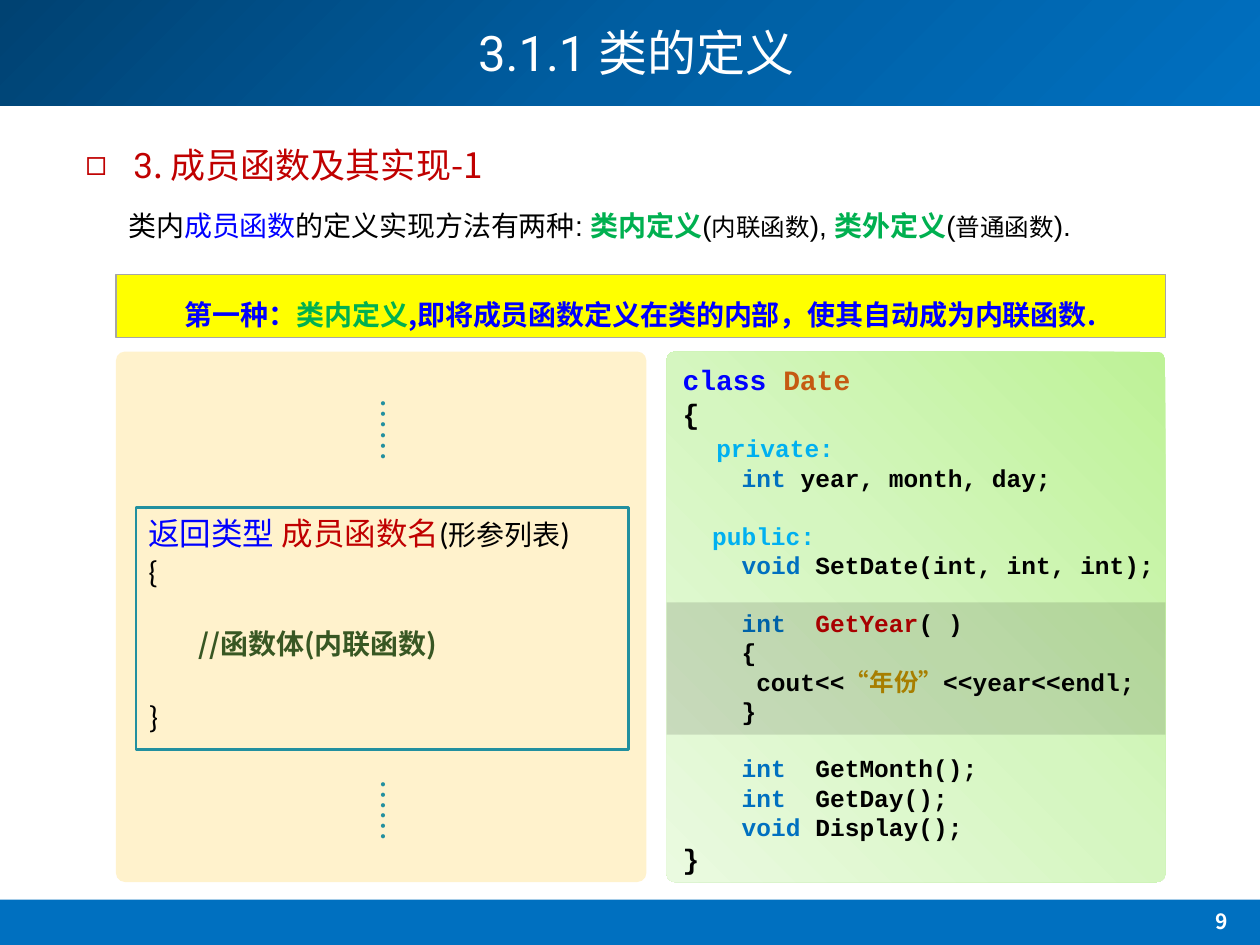
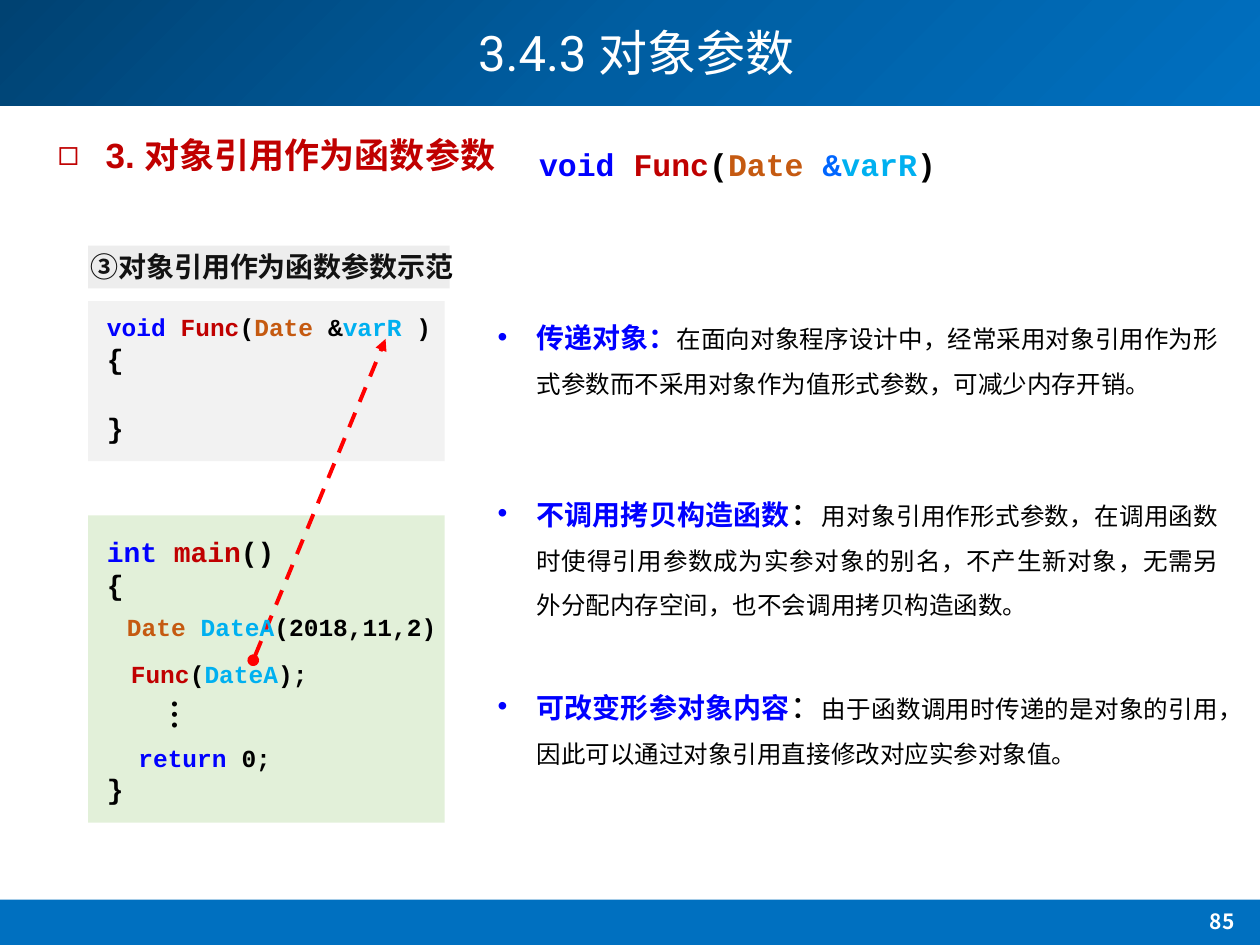
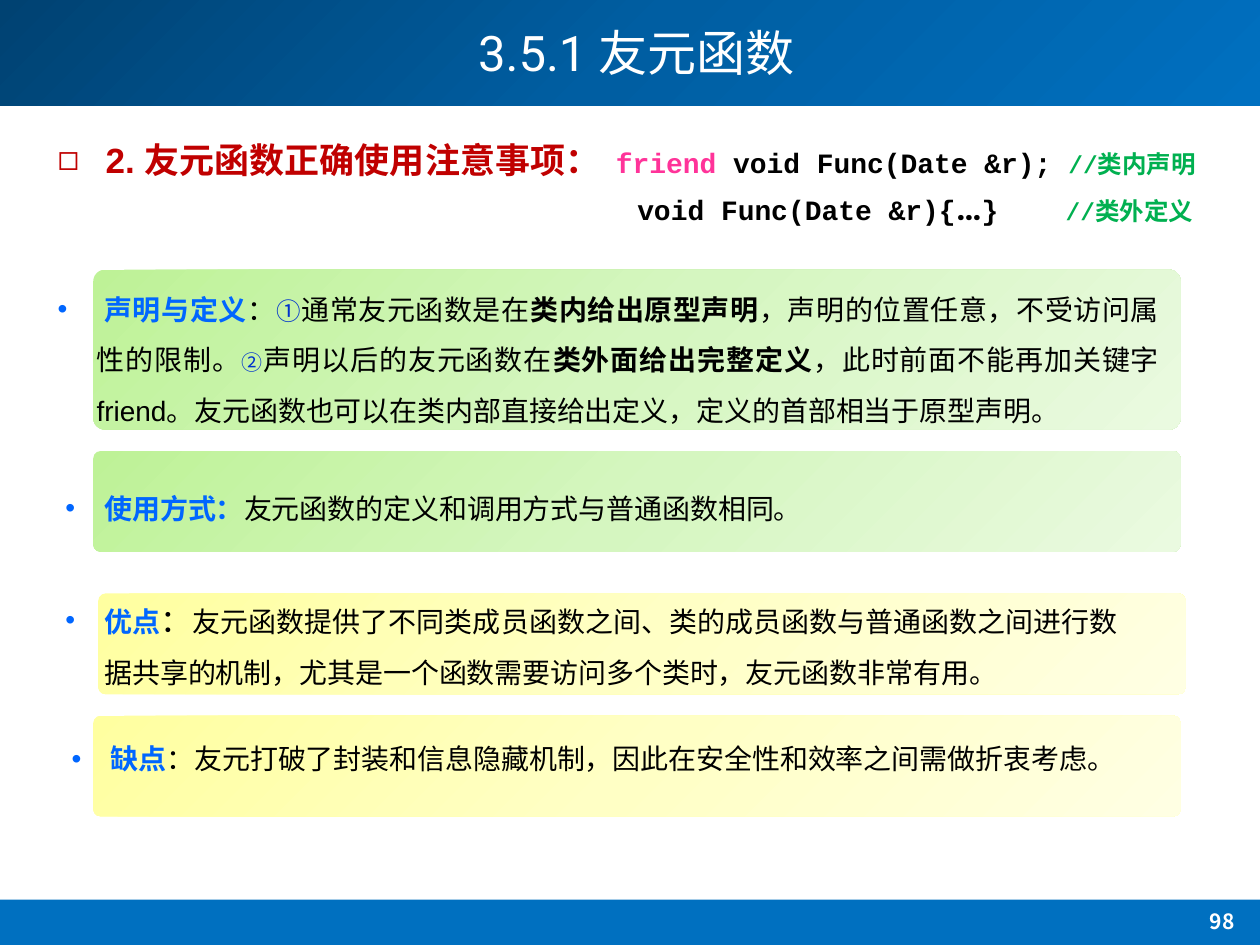
import copy

import pptx
import pptx.util
import pptx.dml.color
import pptx.enum.dml
import pptx.enum.shapes
import pptx.enum.text
import pptx.oxml
import pptx.oxml.ns

Pt = pptx.util.Pt
qn = pptx.oxml.ns.qn
Form = pptx.enum.shapes.MSO_SHAPE
Align = pptx.enum.text.PP_ALIGN

HUES = {
    "navy": "004272", "deep": "005EA2", "band": "0070C0", "white": "FFFFFF",
    "black": "000000", "red": "C00000", "blue": "0000FF", "leaf": "00B050",
    "rust": "C55A11", "sky": "00B0F0", "gold": "BF9000", "moss": "385723",
    "teal": "22909F", "azure": "0066FF", "ink": "0033CC", "pink": "FF3399",
    "arrow": "FF0000", "yellow": "FFFF00", "edge": "A6A6A6", "gray": "808080",
    "cream": "FFF2CC", "pale": "F2F2F2", "mint": "E2F0D9",
    "lime1": "BEF297", "lime2": "D5F6C0", "lime3": "EAFAE0",
    "sun1": "FFFFA0", "sun2": "FFFFC5", "sun3": "FFFFE3",
}
BAND = ("navy", "deep", "band")
LIME = ("lime1", "lime2", "lime3")
SUN = ("sun1", "sun2", "sun3")
CJK = "Noto Sans CJK SC"
CODE = "Courier New"
COLS, ROWS = 10, 7.5

deck = pptx.Presentation()
deck.slide_width = pptx.util.Inches(10)
deck.slide_height = pptx.util.Inches(7.5)
COL = deck.slide_width / COLS
ROW = deck.slide_height / ROWS


def grid(box):
    return [int(n * unit) for n, unit in zip(box, (COL, ROW, COL, ROW))]


def part(box, x, y, wide, high):
    return box[0] + x, box[1] + y, wide, high


def hue(name):
    return pptx.dml.color.RGBColor.from_string(HUES[name])


def node(tag, **attrs):
    item = pptx.oxml.parse_xml(f"<{tag} {pptx.oxml.ns.nsdecls('a')}/>")
    for key, value in attrs.items():
        item.set(key, str(value))
    return item


def style(font, tone=None, size=None, bold=None, face=None):
    if tone:
        font.color.rgb = hue(tone)
    if size:
        font.size = Pt(size)
    if bold is not None:
        font.bold = bold
    if face:
        font.name = face


def mark(para, sign, tone, hang):
    props = para._p.get_or_add_pPr()
    width = int(hang * COL)
    props.set("marL", str(width))
    props.set("indent", str(-width))
    color = node("a:buClr")
    color.append(node("a:srgbClr", val=HUES[tone]))
    props.append(color)
    props.append(node("a:buFont", typeface="Arial"))
    props.append(node("a:buChar", char=sign))


def write(shape, lines, size=16, face=CJK, tone="black", bold=False,
          align=Align.LEFT, pitch=None, sign=None, tab=None, gaps=None):
    frame = shape.text_frame
    frame.word_wrap = True
    for i, runs in enumerate(lines):
        para = frame.paragraphs[0] if i == 0 else frame.add_paragraph()
        para.alignment = align
        if pitch:
            para.line_spacing = pitch
        if gaps and i in gaps:
            para.space_before = Pt(gaps[i])
        if sign:
            mark(para, *sign)
        if tab:
            stops = node("a:tabLst")
            stops.append(node("a:tab", pos=int(tab * COL), algn="l"))
            para._p.get_or_add_pPr().append(stops)
        style(para.font, tone, size, bold, face)
        for item in runs:
            words, *look = (item,) if isinstance(item, str) else item
            run = para.add_run()
            run.text = words
            style(run.font, *look)
    return shape


def label(slide, box, lines, **look):
    return write(slide.shapes.add_textbox(*grid(box)), lines, **look)


def panel(slide, box, fill=None, form=Form.RECTANGLE, round=None,
          angle=45, line=None, alpha=None):
    shape = slide.shapes.add_shape(form, *grid(box))
    shape.shadow.inherit = False
    if round:
        shape.adjustments[0] = round
    if fill is None:
        shape.fill.background()
    elif isinstance(fill, tuple):
        shape.fill.gradient()
        shape.fill.gradient_angle = 360 - angle
        first = next(shape.element.iter(qn("a:gs")))
        first.addnext(copy.deepcopy(first))
        for stop, tone, place in zip(shape.fill.gradient_stops, fill, (0, 0.5, 1)):
            stop.color.rgb = hue(tone)
            stop.position = place
    else:
        shape.fill.solid()
        shape.fill.fore_color.rgb = hue(fill)
        if alpha:
            color = next(shape.element.iter(qn("a:srgbClr")))
            color.append(node("a:alpha", val=alpha * 1000))
    if line:
        shape.line.color.rgb = hue(line[0])
        shape.line.width = Pt(line[1])
    else:
        shape.line.fill.background()
    shape.text_frame.vertical_anchor = pptx.enum.text.MSO_ANCHOR.TOP
    return shape


def bands(slide):
    tree = slide.slide_layout.shapes.element
    for box, fill in (((0, 0, COLS, 0.84), BAND), ((0, 7.14, COLS, 0.36), "band")):
        tree.insert(2, panel(slide, box, fill).element)


def start(code, name, page):
    slide = deck.slides.add_slide(deck.slide_layouts[5])
    title = slide.shapes.title
    title.left, title.top, title.width, title.height = grid((0.85, 0, 8.4, 0.89))
    title.text_frame.vertical_anchor = pptx.enum.text.MSO_ANCHOR.MIDDLE
    write(title, [[(code + " ", None, None, None, "Roboto"), name]],
          size=28, tone="white", align=Align.CENTER, pitch=0.9)
    label(slide, (9.45, 7.16, 0.5, 0.34), [[page]], size=12, tone="white",
          bold=True, align=Align.CENTER)
    return slide


def head(slide, x, y, runs, **look):
    label(slide, (x, y, 7.82, 0.44), [runs], size=20, tone="red",
          sign=("◻", "red", 0.38), **look)


def point(slide, box, runs, tone, pitch=1.5):
    label(slide, box, [runs], face="Arial", align=Align.JUSTIFY, pitch=pitch,
          sign=("•", tone, 0.31))


def inner(slide, box):
    panel(slide, box, "cream", Form.ROUNDED_RECTANGLE, 0.017)
    body = panel(slide, part(box, 0.16, 1.24, 3.91, 1.92), line=("teal", 1.5))
    write(body, [
        [("返回类型 ", "blue", None, None, CJK), ("成员函数名", "red"), "(",
         ("形参列表", None, 16, None, CJK), ")"],
        ["{"],
        [("//函数体(内联函数)", "moss", 16, True, CJK)],
        ["}"],
    ], size=18, face="Calibri", gaps={2: 21, 3: 21})
    note = body.text_frame.paragraphs[2]._p.get_or_add_pPr()
    note.set("marL", str(int(0.4 * COL)))
    for y in (0.43, 3.45):
        dots = label(slide, part(box, 1.77, y, 0.71, 0.4), [["……"]],
                     size=18, tone="teal")
        dots.rotation = 90


def sample(slide, box):
    panel(slide, box, LIME, Form.ROUNDED_RECTANGLE, 0.017, 135)
    label(slide, part(box, 0.03, 0.04, 4.32, 4.24), [
        [("class ", "blue", 16), ("Date", "rust", 16)],
        [("{", None, 16)],
        [("  ", None, 16), ("private:", "sky")],
        ["    ", ("int", "band"), " year, month, day;"],
        [("  public:", "sky")],
        ["    ", ("void ", "band"), "SetDate(int, int, int);"],
        ["    ", ("int  ", "band"), ("GetYear", "red"), "( )"],
        ["    {"],
        ["     cout<<", ("“", "gold"), ("年份", "gold", None, None, CJK),
         ("”", "gold"), "<<year<<endl;"],
        ["    }"],
        ["    ", ("int  ", "band"), "GetMonth();"],
        ["    ", ("int  ", "band"), "GetDay();"],
        ["    ", ("void", "band"), " Display();"],
        [("}", None, 16)],
    ], size=14, face=CODE, bold=True, gaps={4: 16, 6: 16, 10: 16})
    panel(slide, part(box, 0, 1.99, box[2], 1.05), "black", alpha=12)


def define():
    slide = start("3.1.1", "类的定义", "9")
    bands(slide)
    head(slide, 0.58, 1.09,
         [("3", None, None, None, "Roboto"), ". 成员函数及其实现-1"])
    key = ("leaf", None, True, CJK)
    small = (None, 14, None, CJK)
    label(slide, (0.92, 1.47, 8.37, 0.46), [[
        "类内", ("成员函数", "blue"), "的定义实现方法有两种: ",
        ("类内定义", *key), "(", ("内联函数", *small), "), ",
        ("类外定义", *key), "(", ("普通函数", *small), ").",
    ]], face="Arial", pitch=1.5)
    write(panel(slide, (0.92, 2.18, 8.33, 0.5), "yellow", line=("edge", 0.75)), [[
        "第一种：", ("类内定义", "leaf"),
        ",即将成员函数定义在类的内部，使其自动成为内联函数.",
    ]], tone="blue", bold=True, align=Align.CENTER, pitch=1.5)
    sample(slide, (5.29, 2.79, 3.96, 4.21))
    inner(slide, (0.92, 2.79, 4.21, 4.21))


def callee(slide, box):
    panel(slide, box, "pale")
    label(slide, part(box, 0.05, 0.04, 2.78, 1.18), [
        [("void ", "blue", 14), ("Func", "red", 14), ("(", None, 14),
         ("Date ", "rust", 14), ("&", None, 14), ("varR ", "sky", 14),
         (")", None, 14)],
        ["{"],
        ["}"],
    ], face=CODE, bold=True, gaps={2: 20})


def caller(slide, box):
    panel(slide, box, "mint")
    label(slide, part(box, 0.05, 0.1, 2.73, 2.26), [
        [("int ", "blue"), ("main", "red"), "()"],
        ["{"],
        ["}"],
    ], face=CODE, bold=True, gaps={2: 97})
    dots = label(slide, part(box, 0.44, 1.37, 0.61, 0.53), [["…"]], size=24,
                 face="Calibri", align=Align.CENTER)
    next(dots.element.iter(qn("a:bodyPr"))).set("vert", "eaVert")


def calls(slide, box):
    for x, y, runs in (
        (0.21, 0.72, [("Date ", "rust"), ("DateA", "sky"), "(2018,11,2)"]),
        (0.24, 1.09, [("Func", "red"), "(", ("DateA", "sky"), ");"]),
        (0.3, 1.76, [("return", "blue"), " 0;"]),
    ):
        label(slide, part(box, x, y, 2.8, 0.34), [runs], size=14, face=CODE,
              bold=True)


def link(slide, tail, tip):
    ends = grid((*tail, *tip))
    line = slide.shapes.add_connector(pptx.enum.shapes.MSO_CONNECTOR.STRAIGHT, *ends)
    line.line.color.rgb = hue("arrow")
    line.line.width = Pt(2.25)
    line.line.dash_style = pptx.enum.dml.MSO_LINE.DASH
    stroke = next(line.element.iter(qn("a:ln")))
    stroke.append(node("a:headEnd", type="oval"))
    stroke.append(node("a:tailEnd", type="triangle"))
    stroke.addnext(node("a:effectLst"))


def refer():
    slide = start("3.4.3", "对象参数", "85")
    head(slide, 0.36, 1.01, ["3. 对象引用作为函数参数"], face="Arial", bold=True)
    label(slide, (0.53, 1.93, 3.26, 0.37), [["③对象引用作为函数参数示范"]],
          face="Arial", bold=True, align=Align.CENTER)
    colon = ("：", None, 18)
    for y, high, lead, rest in (
        (2.36, 0.86, [("传递对象：", "blue", None, True)],
         "在面向对象程序设计中，经常采用对象引用作为形式参数而不采用对象作为值形式参数，可减少内存开销。"),
        (3.72, 1.26, [("不调用拷贝构造函数", "blue", None, True), colon],
         "用对象引用作形式参数，在调用函数时使得引用参数成为实参对象的别名，不产生新对象，无需另外分配内存空间，也不会调用拷贝构造函数。"),
        (5.25, 0.91, [("可改变形参对象内容", "blue", None, True), colon],
         "由于函数调用时传递的是对象的引用，因此可以通过对象引用直接修改对应实参对象值。"),
    ):
        point(slide, (3.85, y, 5.92, high), [*lead, (rest, None, 14)], "blue")
    label(slide, (4.18, 1.1, 3.5, 0.4), [[
        ("void ", "blue"), ("Func", "red"), "(", ("Date ", "rust"),
        ("&", "azure"), ("varR", "sky"), ")",
    ]], size=18, face=CODE, bold=True)
    main = (0.7, 4.09, 2.83, 2.44)
    callee(slide, (0.7, 2.39, 2.83, 1.27))
    caller(slide, main)
    link(slide, (2.01, 5.24), (3.06, 2.69))
    calls(slide, main)
    panel(slide, (0.7, 1.95, 2.87, 0.34), "gray", alpha=14)


def friend():
    slide = start("3.5.1", "友元函数", "98")
    for x, y, high, fill in ((0.74, 5.68, 0.8, SUN), (0.78, 4.71, 0.8, SUN),
                             (0.74, 3.58, 0.8, LIME), (0.74, 2.14, 1.27, LIME)):
        panel(slide, (x, y, 8.63, high), fill, Form.ROUNDED_RECTANGLE, 0.074)
    head(slide, 0.36, 1.05, ["2. 友元函数正确使用注意事项："], face="Arial", bold=True)
    lead = ("azure", None, True)
    strong = (None, None, True, CJK)
    point(slide, (0.36, 2.14, 8.94, 1.31), [
        (" 声明与定义", *lead), "：", ("①", "ink", 14), "通常友元函数是在",
        ("类内给出原型声明", *strong), "，声明的位置任意，不受访问属性的限制。",
        ("②", "ink", 12), "声明以后的友元函数在", ("类外面给出完整定义", *strong),
        "，此时前面不能再加关键字friend。友元函数也可以在类内部直接给出定义，定义的首部相当于原型声明。",
    ], "azure")
    point(slide, (0.42, 3.72, 9.48, 0.5), [
        ("使用方式：", *lead), "友元函数的定义和调用方式与普通函数相同。",
    ], "azure")
    point(slide, (0.42, 4.57, 8.56, 0.92), [
        ("优点", *lead), ("：", None, 18, None, "Calibri"),
        "友元函数提供了不同类成员函数之间、类的成员函数与普通函数之间进行数据共享的机制，尤其是一个函数需要访问多个类时，友元函数非常有用。",
    ], "azure")
    point(slide, (0.47, 5.84, 8.89, 0.37), [
        ("缺点", *lead), "：友元打破了封装和信息隐藏机制，因此在安全性和效率之间需做折衷考虑。",
    ], "azure", None)
    label(slide, (4.79, 1.11, 5.1, 0.4), [[
        ("friend ", "pink"), "void Func(Date &r); ", ("//类内声明", "leaf", 14),
    ]], face=CODE, bold=True)
    label(slide, (4.96, 1.42, 4.9, 0.44), [[
        "void Func(Date &r){", ("…", None, 20, None, "Roboto"), "}\t",
        ("//类外定义", "leaf", 14),
    ]], face=CODE, bold=True, tab=3.4)


def main():
    for build in (define, refer, friend):
        build()
    for slide in deck.slides:
        for latin in list(slide.element.iter(qn("a:latin"))):
            latin.addnext(node("a:ea", typeface=CJK))
    deck.save("out.pptx")


if __name__ == "__main__":
    main()
